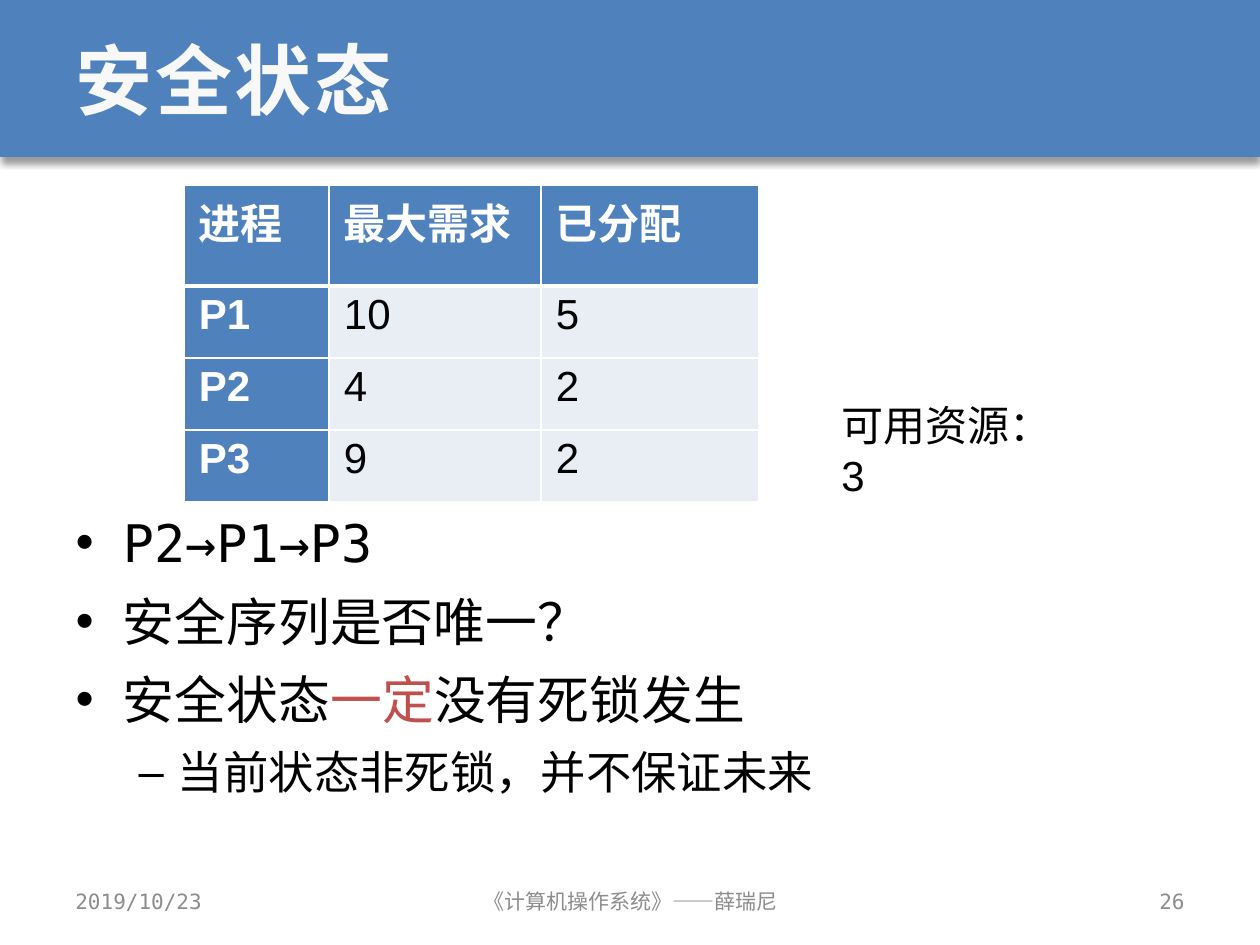
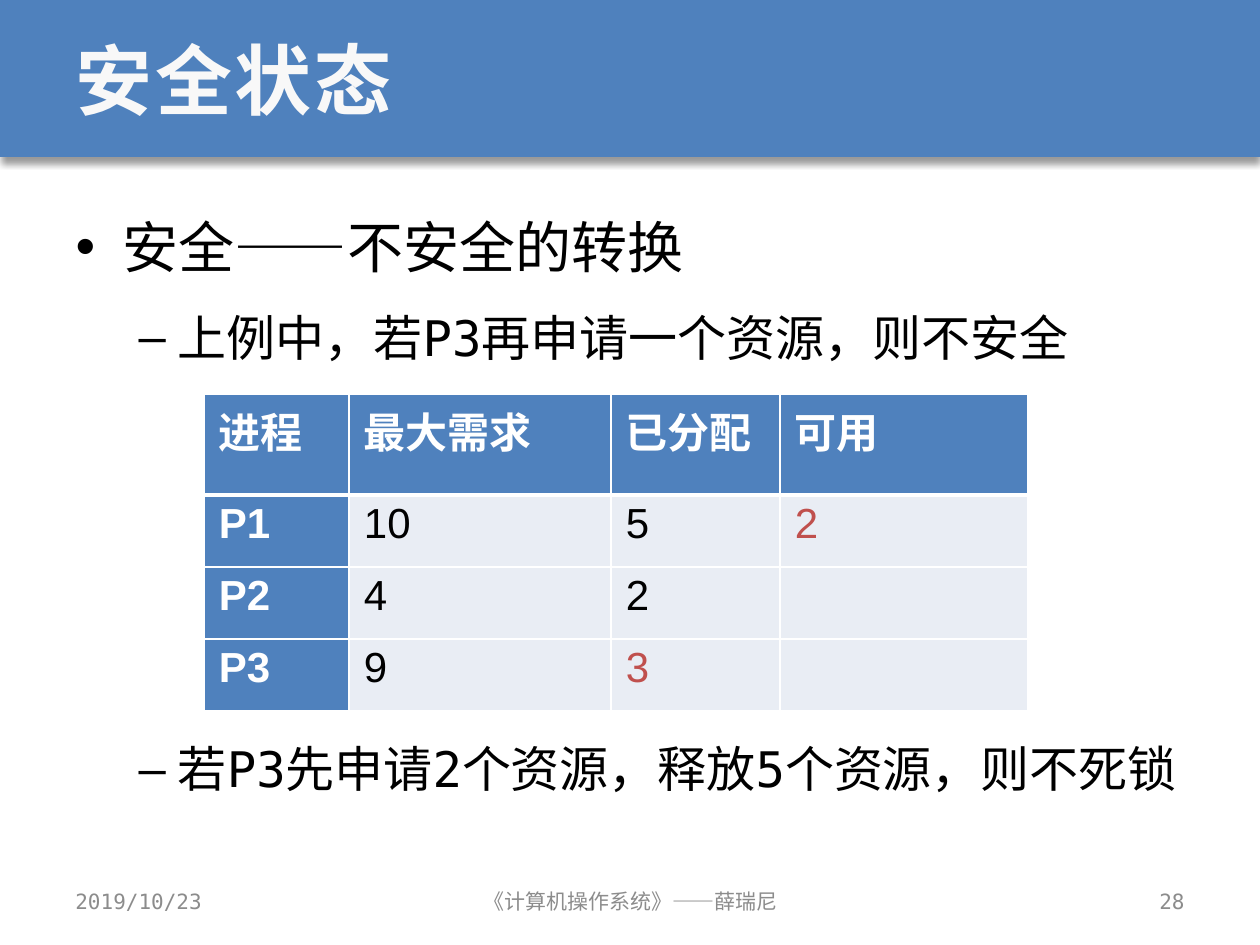
import dataclasses

import lxml.etree
import pptx
import pptx.dml.color
import pptx.enum.shapes
import pptx.enum.text
import pptx.oxml
import pptx.oxml.ns
import pptx.util

PX = 914400 / 126  # EMU in one px
ALIGN = pptx.enum.text.PP_ALIGN
ANCHOR = pptx.enum.text.MSO_ANCHOR
qn = pptx.oxml.ns.qn


@dataclasses.dataclass(frozen=True)
class Theme:
    blue: str = "4F81BD"
    pale: str = "E9EDF4"
    white: str = "FFFFFF"
    title: str = "F8F8F8"
    black: str = "000000"
    red: str = "C0504D"
    grey: str = "8C8C8C"
    mono: str = "DejaVu Sans Mono"
    sans: str = "Arial"
    title_size: float = 44
    table_size: float = 24
    footer_size: float = 12


def emu(*lengths):
    return [round(n * PX) for n in lengths]


def set_all(obj, values):
    for name, value in values.items():
        setattr(obj, name, value)


def rgb(colour):
    return pptx.dml.color.RGBColor.from_string(colour)


class Deck:
    def __init__(self, theme):
        self.theme = theme
        self.prs = pptx.Presentation()
        self.prs.slide_width, self.prs.slide_height = emu(1260, 945)
        self.slide = None

    def add_run(self, p, text, font, size, colour, bold=False):
        r = p.add_run()
        r.text = text
        set_all(r.font, {"name": font, "size": pptx.util.Pt(size), "bold": bold})
        r.font.color.rgb = rgb(colour)
        return r

    def place(self, sp, box):
        set_all(sp, dict(zip(("left", "top", "width", "height"), emu(*box))))

    def new_slide(self, title, number):
        self.slide = self.prs.slides.add_slide(self.prs.slide_layouts[1])
        self.band()
        self.title(title)
        # Footer: date, course, slide number
        self.text((63, 876, 294, 50), "2019/10/23", ALIGN.LEFT)
        self.text((431, 876, 399, 50), "《计算机操作系统》——薛瑞尼", ALIGN.CENTER)
        self.text((903, 876, 294, 50), str(number), ALIGN.RIGHT)

    def band(self):
        t = self.theme
        sp = self.slide.shapes.add_shape(
            pptx.enum.shapes.MSO_SHAPE.RECTANGLE, *emu(0, 0, 1260, 157))
        sp.fill.solid()
        sp.fill.fore_color.rgb = rgb(t.blue)
        sp.line.fill.background()
        sp.shadow.inherit = False
        effects = sp._element.spPr.find(qn("a:effectLst"))
        shadow = lxml.etree.SubElement(
            effects, qn("a:outerShdw"), blurRad="50800", dist="38100",
            dir="5400000", algn="t", rotWithShape="0")
        colour = lxml.etree.SubElement(shadow, qn("a:srgbClr"), val=t.black)
        lxml.etree.SubElement(colour, qn("a:alpha"), val="40000")
        # Send behind the placeholders
        self.slide.shapes._spTree.insert(2, sp._element)

    def title(self, text):
        t = self.theme
        sp = self.slide.shapes.title
        self.place(sp, (63, 0, 1134, 157))
        sp.text_frame.vertical_anchor = ANCHOR.MIDDLE
        p = sp.text_frame.paragraphs[0]
        p.alignment = ALIGN.LEFT
        r = self.add_run(p, text, t.mono, t.title_size, t.title, True)
        r.font._element.set("spc", "150")

    def bullets(self, box, spacing, items):
        """Each item is (level, size, space before or None, [(text, colour)])."""
        sp = self.slide.placeholders[1]
        self.place(sp, box)
        tf = sp.text_frame
        tf.auto_size = pptx.enum.text.MSO_AUTO_SIZE.NONE
        for i, (level, size, before, parts) in enumerate(items):
            p = tf.add_paragraph() if i else tf.paragraphs[0]
            set_all(p, {"level": level, "line_spacing": spacing})
            if before is not None:
                p.space_before = pptx.util.Pt(before)
            for text, colour in parts:
                self.add_run(p, text, self.theme.mono, size, colour)

    def text(self, box, text, align, font=None, size=None, colour=None,
             anchor=ANCHOR.MIDDLE):
        t = self.theme
        sp = self.slide.shapes.add_textbox(*emu(*box))
        set_all(sp.text_frame, {"word_wrap": True, "vertical_anchor": anchor})
        p = sp.text_frame.paragraphs[0]
        p.alignment = align
        self.add_run(p, text, font or t.mono, size or t.footer_size,
                     colour or t.grey)

    def cell_borders(self, cell, bottom):
        tcPr = cell._tc.get_or_add_tcPr()
        widths = {"lnL": 1, "lnR": 1, "lnT": 1, "lnB": bottom}
        for i, (side, width) in enumerate(widths.items()):
            ln = lxml.etree.Element(qn("a:" + side), w=str(width * 12700))
            fill = lxml.etree.SubElement(ln, qn("a:solidFill"))
            lxml.etree.SubElement(fill, qn("a:srgbClr"), val=self.theme.white)
            tcPr.insert(i, ln)

    def table(self, left, top, widths, rows, changed=()):
        """Cells whose (row, column) is in changed are written in red."""
        t = self.theme
        heights = [101] + [72] * (len(rows) - 1)
        table = self.slide.shapes.add_table(
            len(rows), len(widths),
            *emu(left, top, sum(widths), sum(heights))).table
        for column, width in zip(table.columns, emu(*widths)):
            column.width = width
        for row, height in zip(table.rows, emu(*heights)):
            row.height = height
        margins = dict(zip(("margin_left", "margin_right", "margin_top",
                            "margin_bottom"), emu(15, 15, 6, 6)))
        for y, row in enumerate(rows):
            for x, text in enumerate(row):
                cell = table.cell(y, x)
                head = y == 0 or x == 0
                set_all(cell, margins)
                cell.fill.solid()
                cell.fill.fore_color.rgb = rgb(t.blue if head else t.pale)
                self.cell_borders(cell, 1 if y else 3)
                if text:
                    p = cell.text_frame.paragraphs[0]
                    p.space_before = pptx.util.Pt(t.table_size * 0.2)
                    colour = (t.white if head else
                              t.red if (y, x) in changed else t.black)
                    self.add_run(p, text, t.sans, t.table_size, colour, head)


def main():
    t = Theme()
    deck = Deck(t)

    # Safe sequence
    deck.new_slide("安全状态", 26)
    deck.bullets((63, 498, 1134, 360), 1.1, [
        (0, 29.6, None, [("P2→P1→P3", t.black)]),
        (0, 29.6, None, [("安全序列是否唯一？", t.black)]),
        (0, 29.6, None, [("安全状态", t.black), ("一定", t.red),
                         ("没有死锁发生", t.black)]),
        (1, 25.9, None, [("当前状态非死锁，并不保证未来", t.black)]),
    ])
    deck.table(184, 185, [145, 212, 218], [
        ["进程", "最大需求", "已分配"],
        ["P1", "10", "5"],
        ["P2", "4", "2"],
        ["P3", "9", "2"],
    ])
    deck.text((829, 393, 250, 63), "可用资源：3", ALIGN.LEFT, t.sans,
              t.table_size, t.black, ANCHOR.TOP)

    # From safe to unsafe
    deck.new_slide("安全状态", 28)
    deck.bullets((63, 186, 1134, 672), 1.3, [
        (0, 32, None, [("安全——不安全的转换", t.black)]),
        (1, 28, None, [("上例中，若P3再申请一个资源，则不安全", t.black)]),
        (1, 28, 203, [("若P3先申请2个资源，释放5个资源，则不死锁", t.black)]),
    ])
    deck.table(204, 394, [145, 262, 169, 248], [
        ["进程", "最大需求", "已分配", "可用"],
        ["P1", "10", "5", "2"],
        ["P2", "4", "2", ""],
        ["P3", "9", "3", ""],
    ], changed={(1, 3), (3, 2)})

    deck.prs.save("out.pptx")


if __name__ == "__main__":
    main()
